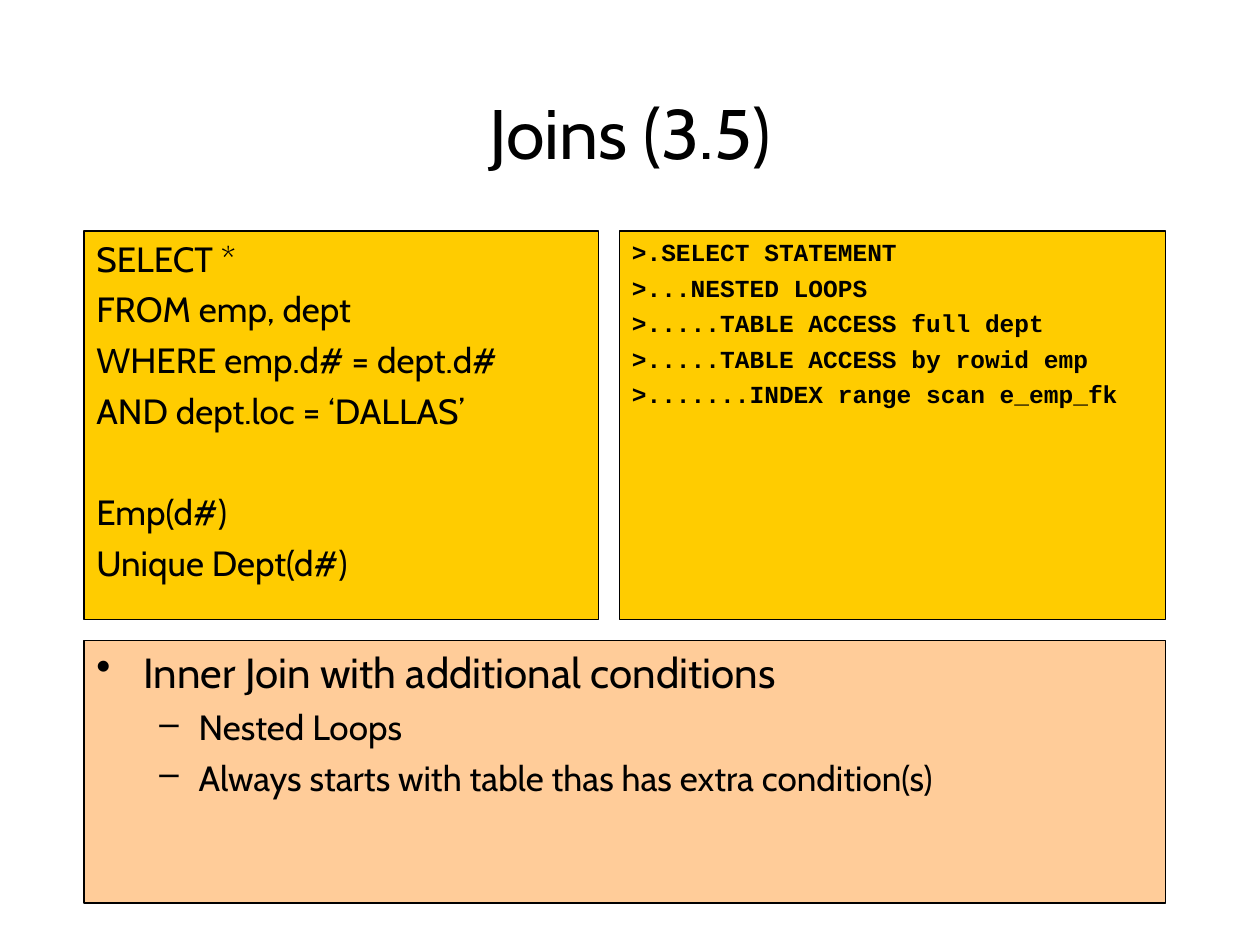
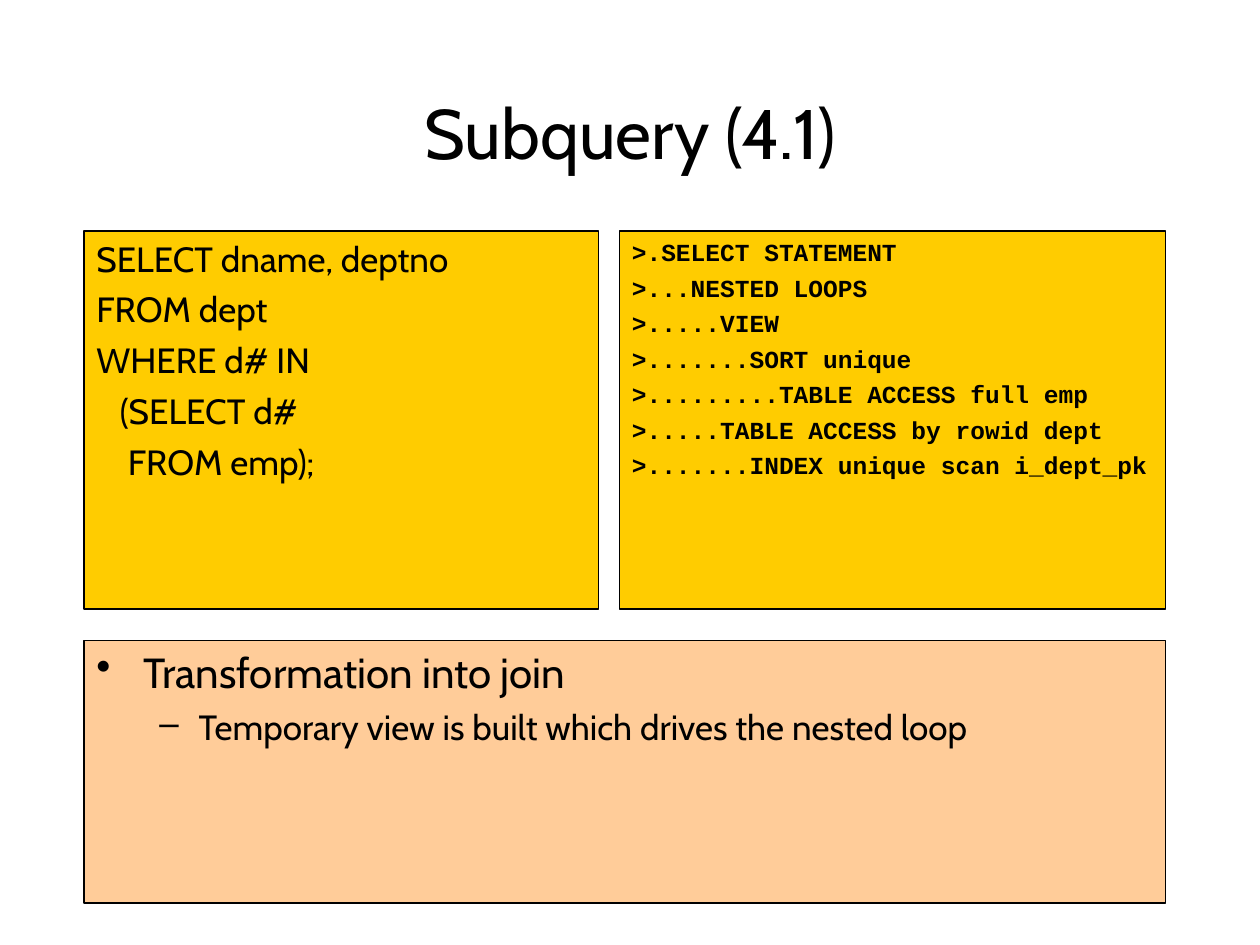
import pptx
import pptx.util
import pptx.dml.color
import pptx.enum.shapes
import pptx.enum.text
from lxml import etree

Pt = pptx.util.Pt
RGBColor = pptx.dml.color.RGBColor
PP_ALIGN = pptx.enum.text.PP_ALIGN
MSO_ANCHOR = pptx.enum.text.MSO_ANCHOR

# Shared look
BLACK = RGBColor(0x00, 0x00, 0x00)
GOLD = RGBColor(0xFF, 0xCC, 0x00)
PEACH = RGBColor(0xFF, 0xCC, 0x99)
BODY_FONT = "Cabin"
PLAN_FONT = "Courier New"

# Shared grid, in points
PANEL_LEFT, PANEL_RIGHT = 48, 666
QUERY_WIDTH, GAP = 294, 12
PLAN_LEFT = PANEL_LEFT + QUERY_WIDTH + GAP
PANEL_TOP = 132
NOTES_TOP, NOTES_HEIGHT = 366, 150

# Note levels: bullet, indent, hanging part, text size, space before
NOTE_LEVELS = [("•", 27, 27, 24, 6), ("–", 58.5, 22.5, 20, 5)]
HANGING = 27
QUERY_SIZE, QUERY_SPACE, SECTION_SPACE = 20, 5, 34
PLAN_SIZE, PLAN_SPACE = 14, 3.5


def set_indent(paragraph, left, hanging, bullet=None):
    """Set a hanging indent and, if given, a bullet character."""
    properties = paragraph._p.get_or_add_pPr()
    properties.set("marL", str(Pt(left)))
    properties.set("indent", str(-Pt(hanging)))
    namespace = properties.nsmap["a"]
    if bullet:
        color = etree.SubElement(properties, f"{{{namespace}}}buClr")
        etree.SubElement(color, f"{{{namespace}}}srgbClr", val=str(BLACK))
        etree.SubElement(properties, f"{{{namespace}}}buChar", char=bullet)
    else:
        etree.SubElement(properties, f"{{{namespace}}}buNone")


def add_line(frame, first, text, size, font=BODY_FONT, bold=False, space=0):
    """Write one paragraph; the first of a frame has no space before."""
    paragraph = frame.paragraphs[0] if first else frame.add_paragraph()
    paragraph.alignment = PP_ALIGN.LEFT
    if not first:
        paragraph.space_before = Pt(space)
    run = paragraph.add_run()
    run.text = text
    run.font.name = font
    run.font.size = Pt(size)
    run.font.bold = bold
    run.font.color.rgb = BLACK
    return paragraph


def add_title(slide, text):
    title = slide.shapes.add_textbox(Pt(54), Pt(48), Pt(612), Pt(54))
    frame = title.text_frame
    frame.word_wrap = True
    frame.vertical_anchor = MSO_ANCHOR.MIDDLE
    add_line(frame, True, text, 40).alignment = PP_ALIGN.CENTER


def add_panel(slide, left, top, width, height, color):
    """Add an outlined panel and return its text frame."""
    panel = slide.shapes.add_shape(
        pptx.enum.shapes.MSO_SHAPE.RECTANGLE, Pt(left), Pt(top), Pt(width), Pt(height))
    panel.shadow.inherit = False
    panel.fill.solid()
    panel.fill.fore_color.rgb = color
    panel.line.color.rgb = BLACK
    panel.line.width = Pt(0.75)
    frame = panel.text_frame
    frame.word_wrap = True
    frame.vertical_anchor = MSO_ANCHOR.TOP
    return frame


def add_notes(slide, notes):
    frame = add_panel(slide, PANEL_LEFT, NOTES_TOP,
                      PANEL_RIGHT - PANEL_LEFT, NOTES_HEIGHT, PEACH)
    for index, (level, text) in enumerate(notes):
        bullet, left, hanging, size, space = NOTE_LEVELS[level]
        paragraph = add_line(frame, index == 0, text, size, space=space)
        paragraph.level = level
        set_indent(paragraph, left, hanging, bullet)


def add_plan(slide, steps, height):
    frame = add_panel(slide, PLAN_LEFT, PANEL_TOP, PANEL_RIGHT - PLAN_LEFT, height, GOLD)
    for index, step in enumerate(steps):
        paragraph = add_line(frame, index == 0, step, PLAN_SIZE, PLAN_FONT, True, PLAN_SPACE)
        set_indent(paragraph, HANGING, HANGING)


def add_query(slide, sections, height):
    """Write the statement and, set apart below it, any index list."""
    frame = add_panel(slide, PANEL_LEFT, PANEL_TOP, QUERY_WIDTH, height, GOLD)
    for section_index, section in enumerate(sections):
        for index, text in enumerate(section):
            first = section_index == index == 0
            space = QUERY_SPACE if index else SECTION_SPACE
            paragraph = add_line(frame, first, text, QUERY_SIZE, space=space)
            set_indent(paragraph, HANGING, HANGING)


def add_query_slide(deck, title, query, plan, notes, panel_height):
    slide = deck.slides.add_slide(deck.slide_layouts[6])
    add_title(slide, title)
    add_notes(slide, notes)
    add_plan(slide, plan, panel_height)
    add_query(slide, query, panel_height)


def main():
    deck = pptx.Presentation()
    deck.slide_width, deck.slide_height = Pt(720), Pt(540)

    # Join with an extra condition
    add_query_slide(
        deck, "Joins (3.5)",
        query=[["SELECT *", "FROM emp, dept", "WHERE emp.d# = dept.d#",
                "AND dept.loc = ‘DALLAS’"],
               ["Emp(d#)", "Unique Dept(d#)"]],
        plan=[">.SELECT STATEMENT",
              ">...NESTED LOOPS",
              ">.....TABLE ACCESS full dept",
              ">.....TABLE ACCESS by rowid emp",
              ">.......INDEX range scan e_emp_fk"],
        notes=[(0, "Inner Join with additional conditions"),
               (1, "Nested Loops"),
               (1, "Always starts with table thas has extra condition(s)")],
        panel_height=222)

    # Subquery turned into a join
    add_query_slide(
        deck, "Subquery (4.1)",
        query=[["SELECT dname, deptno", "FROM dept", "WHERE d# IN",
                "   (SELECT d#", "    FROM emp);"]],
        plan=[">.SELECT STATEMENT",
              ">...NESTED LOOPS",
              ">.....VIEW",
              ">.......SORT unique",
              ">.........TABLE ACCESS full emp",
              ">.....TABLE ACCESS by rowid dept",
              ">.......INDEX unique scan i_dept_pk"],
        notes=[(0, "Transformation into join"),
               (1, "Temporary view is built which drives the nested loop")],
        panel_height=216)

    deck.save("out.pptx")


if __name__ == "__main__":
    main()
